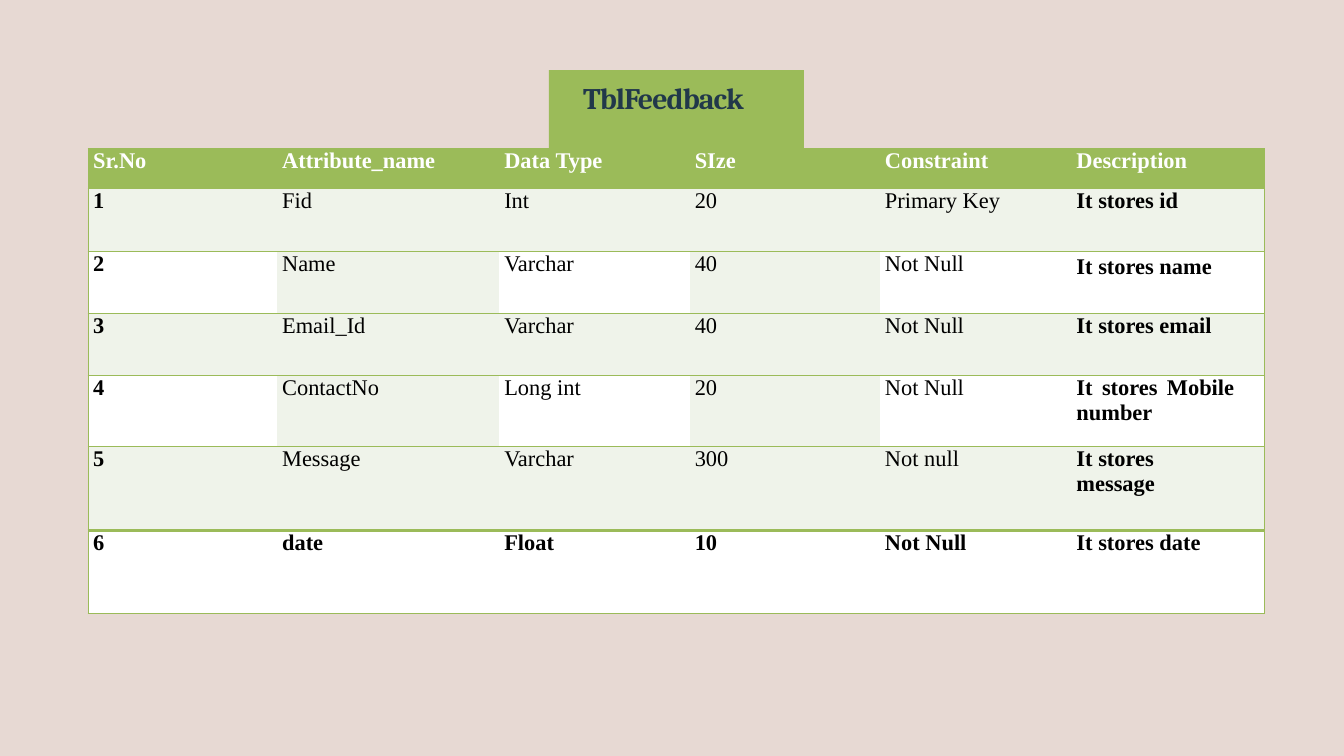
from dataclasses import dataclass

import pptx
import pptx.dml.color
import pptx.enum.text
import pptx.oxml
import pptx.oxml.ns
import pptx.util
from lxml import etree

Pt = pptx.util.Pt
COLORS = {
    "backdrop": "E7D9D3",
    "green": "9BBB59",
    "band": "EFF3EA",
    "white": "FFFFFF",
    "black": "000000",
    "navy": "21384A",
}
PLAIN_TABLE_STYLE = "{2D5ABB26-0587-4C30-8999-92F81FD0307C}"
COLUMN_WIDTHS = (203, 237.6, 204.5, 203.8, 205.2, 205.9)
INDENTS = (5.4, 5, 5.4, 5, 5, 5)


@dataclass
class FieldRow:
    height: float
    texts: tuple[str, ...]
    fills: tuple[str, ...] = ("band",) * 6
    color: str = "black"
    bold: tuple[bool, ...] = (True, False, False, False, False, True)
    top: float = 1
    bottom: float = 1
    description_margin: float = 0
    description_spacing: float = 1
    justified: bool = False


ALTERNATING = ("white", "band", "white", "band", "white", "white")
ALL_BOLD = (True,) * 6
FIELDS = (
    FieldRow(43.2, ("Sr.No", "Attribute_name", "Data Type", "SIze", "Constraint", "Description"),
             fills=("green",) * 6, color="white", bold=ALL_BOLD),
    FieldRow(67, ("1", "Fid", "Int", "20", "Primary Key", "It stores id")),
    FieldRow(67, ("2", "Name", "Varchar", "40", "Not Null", "It stores name"),
             fills=ALTERNATING, description_spacing=1.15),
    FieldRow(66.2, ("3", "Email_Id", "Varchar", "40", "Not Null", "It stores email")),
    FieldRow(76.3, ("4", "ContactNo", "Long int", "20", "Not Null", "It stores Mobile number"),
             fills=ALTERNATING, description_margin=32, justified=True),
    FieldRow(89.3, ("5", "Message", "Varchar", "300", "Not null", "It stores message"),
             bottom=4, description_margin=45),
    FieldRow(89.3, ("6", "date", "Float", "10", "Not Null", "It stores date"),
             fills=("white",) * 6, bold=ALL_BOLD, top=4),
)


def rgb(name: str) -> pptx.dml.color.RGBColor:
    return pptx.dml.color.RGBColor.from_string(COLORS[name])


def style_paragraph(paragraph, font_name: str, size: float, color: str, bold: bool,
                    indent: float, space_before: float) -> None:
    paragraph.space_before = Pt(space_before)
    properties = paragraph._p.get_or_add_pPr()
    properties.set("marL", str(int(Pt(indent))))
    properties.set("indent", "0")
    for run in paragraph.runs:
        run.font.name = font_name
        run.font.size = Pt(size)
        run.font.bold = bold
        run.font.color.rgb = rgb(color)


def set_borders(cell, widths: dict[str, float]) -> None:
    properties = cell._tc.get_or_add_tcPr()
    for position, side in enumerate("LRTB"):
        width = widths.get(side, 0)
        line = etree.Element(pptx.oxml.ns.qn(f"a:ln{side}"), w=str(int(Pt(width))))
        if width:
            fill = etree.SubElement(line, pptx.oxml.ns.qn("a:solidFill"))
            etree.SubElement(fill, pptx.oxml.ns.qn("a:srgbClr"), val=COLORS["green"])
        else:
            etree.SubElement(line, pptx.oxml.ns.qn("a:noFill"))
        properties.insert(position, line)


def fill_cell(cell, field: FieldRow, column: int) -> None:
    is_description = column == len(COLUMN_WIDTHS) - 1
    cell.margin_left = cell.margin_top = cell.margin_bottom = Pt(0)
    cell.margin_right = Pt(field.description_margin if is_description else 0)
    cell.vertical_anchor = pptx.enum.text.MSO_ANCHOR.TOP
    cell.fill.solid()
    cell.fill.fore_color.rgb = rgb(field.fills[column])
    cell.text_frame.text = field.texts[column]
    paragraph = cell.text_frame.paragraphs[0]
    style_paragraph(paragraph, "Times New Roman", 24, field.color, field.bold[column],
                    INDENTS[column], 2.5)
    if is_description:
        paragraph.line_spacing = field.description_spacing
        if field.justified:
            paragraph.alignment = pptx.enum.text.PP_ALIGN.JUSTIFY
    set_borders(cell, {"L": int(column == 0), "R": int(is_description),
                       "T": field.top, "B": field.bottom})


def add_heading(slide) -> None:
    heading = slide.shapes.title
    heading.left, heading.top, heading.width, heading.height = Pt(588.2), Pt(75), Pt(273), Pt(85)
    heading.fill.solid()
    heading.fill.fore_color.rgb = rgb("green")
    frame = heading.text_frame
    frame.text = "TblFeedback"
    frame.auto_size = pptx.enum.text.MSO_AUTO_SIZE.NONE
    frame.vertical_anchor = pptx.enum.text.MSO_ANCHOR.TOP
    frame.margin_left = frame.margin_right = frame.margin_bottom = Pt(0)
    frame.margin_top = Pt(10)
    paragraph = frame.paragraphs[0]
    paragraph.alignment = pptx.enum.text.PP_ALIGN.LEFT
    style_paragraph(paragraph, "Cambria", 32, "navy", True, 36.7, 10)
    paragraph.runs[0].font._element.set("spc", "-100")


def add_field_table(slide) -> None:
    frame = slide.shapes.add_table(len(FIELDS), len(COLUMN_WIDTHS), Pt(94.3), Pt(159.1),
                                   Pt(sum(COLUMN_WIDTHS)), Pt(sum(f.height for f in FIELDS)))
    table = frame.table
    table._tbl.tblPr.find(pptx.oxml.ns.qn("a:tableStyleId")).text = PLAIN_TABLE_STYLE
    table.horz_banding = False
    for column, width in zip(table.columns, COLUMN_WIDTHS):
        column.width = Pt(width)
    for row, field in zip(table.rows, FIELDS):
        row.height = Pt(field.height)
        for column, cell in enumerate(row.cells):
            fill_cell(cell, field, column)


def main() -> None:
    presentation = pptx.Presentation()
    presentation.slide_width, presentation.slide_height = Pt(1440), Pt(810)
    slide = presentation.slides.add_slide(presentation.slide_layouts[5])
    slide.background.fill.solid()
    slide.background.fill.fore_color.rgb = rgb("backdrop")
    add_heading(slide)
    add_field_table(slide)
    presentation.save("out.pptx")


main()
